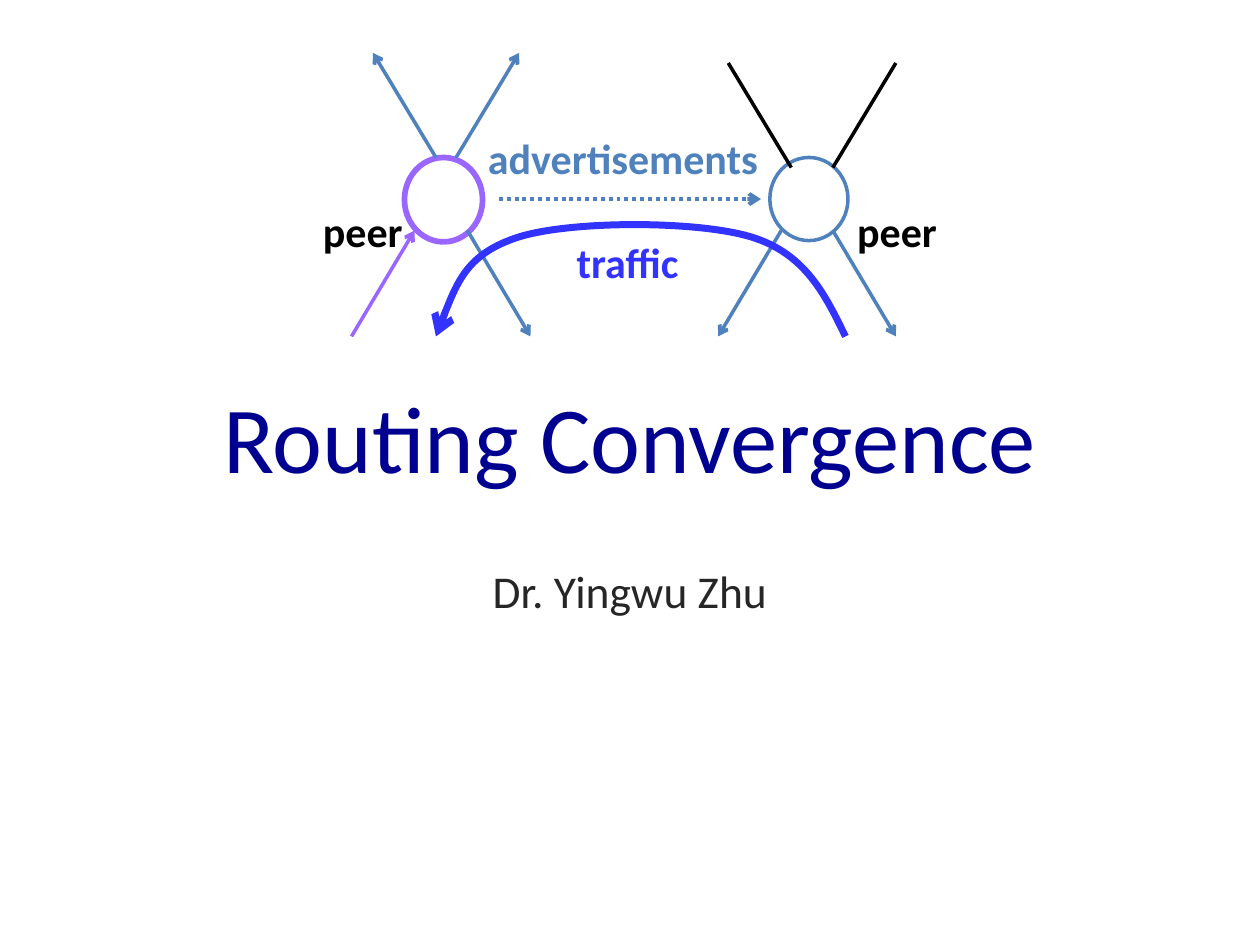
from lxml import etree
from pptx import Presentation
from pptx import util as u
from pptx.dml.color import RGBColor
from pptx.enum import dml, shapes, text
from pptx.oxml.ns import qn

PX = 9144  # 100 px to the inch
FONT = "Calibri"
STEEL, VIOLET, BLUE, BLACK = "4F81BD", "9966FF", "3333FF", "000000"


def px(n):
    return u.Emu(round(n * PX))


def rgb(value):
    return RGBColor.from_string(value)


def style_line(sp, color, width, arrow=None):
    """Colour a line; arrow is None, "headEnd" (start) or "tailEnd" (end)."""
    sp.line.color.rgb = rgb(color)
    sp.line.width = u.Pt(width)
    if arrow:
        etree.SubElement(sp.line._get_or_add_ln(), qn("a:" + arrow), type="arrow")


def add_run(p, words, size, color, bold=False):
    p.alignment = text.PP_ALIGN.CENTER
    r = p.add_run()
    r.text = words
    r.font.name, r.font.size, r.font.bold = FONT, u.Pt(size), bold
    r.font.color.rgb = rgb(color)


def add_line(slide, start, end, color, width=2, arrow=None, dash=None):
    s = slide.shapes.add_connector(
        shapes.MSO_CONNECTOR.STRAIGHT, *map(px, (*start, *end)))
    if dash:
        s.line.dash_style = dash
    style_line(s, color, width, arrow)
    etree.SubElement(s._element.spPr, qn("a:effectLst"))


def add_label(slide, words, box, color):
    s = slide.shapes.add_textbox(*map(px, box))
    tf = s.text_frame
    tf.word_wrap = False
    tf.auto_size = text.MSO_AUTO_SIZE.SHAPE_TO_FIT_TEXT
    add_run(tf.paragraphs[0], words, 24, color, True)


def add_peer(slide, box, color, width, spokes):
    """A router circle with its links, placed from the circle's corner."""
    x, y, w, h = box
    s = slide.shapes.add_shape(shapes.MSO_SHAPE.OVAL, *map(px, box))
    s.shadow.inherit = False
    s.fill.background()
    style_line(s, color, width)
    for x1, y1, x2, y2, link_color, arrow in spokes:
        add_line(slide, (x + x1, y + y1), (x + x2, y + y2), link_color, arrow=arrow)


def add_curve(slide, x, y, points, color, width):
    """A chain of cubic curves; each three points after the first make one."""
    points = [(x + dx, y + dy) for dx, dy in points]
    builder = slide.shapes.build_freeform(*points[0], scale=PX)
    builder.add_line_segments(points[1:], close=False)
    s = builder.convert_to_shape()
    s.shadow.inherit = False
    s.fill.background()
    style_line(s, color, width, "headEnd")
    outline = next(s._element.iter(qn("a:path")))
    segments = outline.findall(qn("a:lnTo"))
    for i in range(0, len(segments), 3):
        curve = etree.SubElement(outline, qn("a:cubicBezTo"))
        for segment in segments[i:i + 3]:
            curve.append(segment[0])
            outline.remove(segment)


def add_diagram(slide, x, y):
    # Two peers and their links
    add_peer(slide, (x + 75, y + 83, 62, 67), VIOLET, 3.25, [
        (8, 58, -42, 142, VIOLET, "headEnd"),
        (-25, -83, 25, 0, STEEL, "headEnd"),
        (91, -83, 41, 0, STEEL, "headEnd"),
        (50, 58, 100, 142, STEEL, "tailEnd")])
    add_peer(slide, (x + 365, y + 83, 62, 66), STEEL, 2, [
        (-33, -75, 17, 8, BLACK, None),
        (100, -75, 50, 8, BLACK, None),
        (50, 58, 100, 142, STEEL, "tailEnd"),
        (9, 58, -41, 142, STEEL, "tailEnd")])
    for left in (0, 424):
        add_label(slide, "peer", (x + left, y + 116, 84, 51), BLACK)
    # Advertisements one way, traffic the other
    add_line(slide, (x + 150, y + 116), (x + 358, y + 116), STEEL, 2.25,
             "tailEnd", dml.MSO_LINE.ROUND_DOT)
    add_label(slide, "advertisements", (x + 130, y + 58, 237, 51), STEEL)
    add_curve(slide, x + 100, y + 133, [
        (0, 92), (12, 59), (25, 26), (66, 13), (108, 0), (207, 0),
        (250, 13), (293, 26), (309, 59), (325, 92)], BLUE, 4)
    add_label(slide, "traffic", (x + 201, y + 141, 102, 51), BLUE)


def fill_placeholder(sp, box, words, size, color, anchor):
    sp.left, sp.top, sp.width, sp.height = map(px, box)
    sp.text_frame.vertical_anchor = anchor
    add_run(sp.text_frame.paragraphs[0], words, size, color)


def main():
    prs = Presentation()
    prs.slide_width, prs.slide_height = px(1000), px(750)
    slide = prs.slides.add_slide(prs.slide_layouts[0])
    # Title and presenter
    fill_placeholder(slide.shapes.title, (75, 283, 850, 125),
                     "Routing Convergence", 54, "000090", text.MSO_ANCHOR.MIDDLE)
    fill_placeholder(slide.placeholders[1], (0, 442, 1000, 267),
                     "Dr. Yingwu Zhu", 26, "262626", text.MSO_ANCHOR.TOP)
    add_diagram(slide, 246, 42)
    prs.save("out.pptx")


if __name__ == "__main__":
    main()
